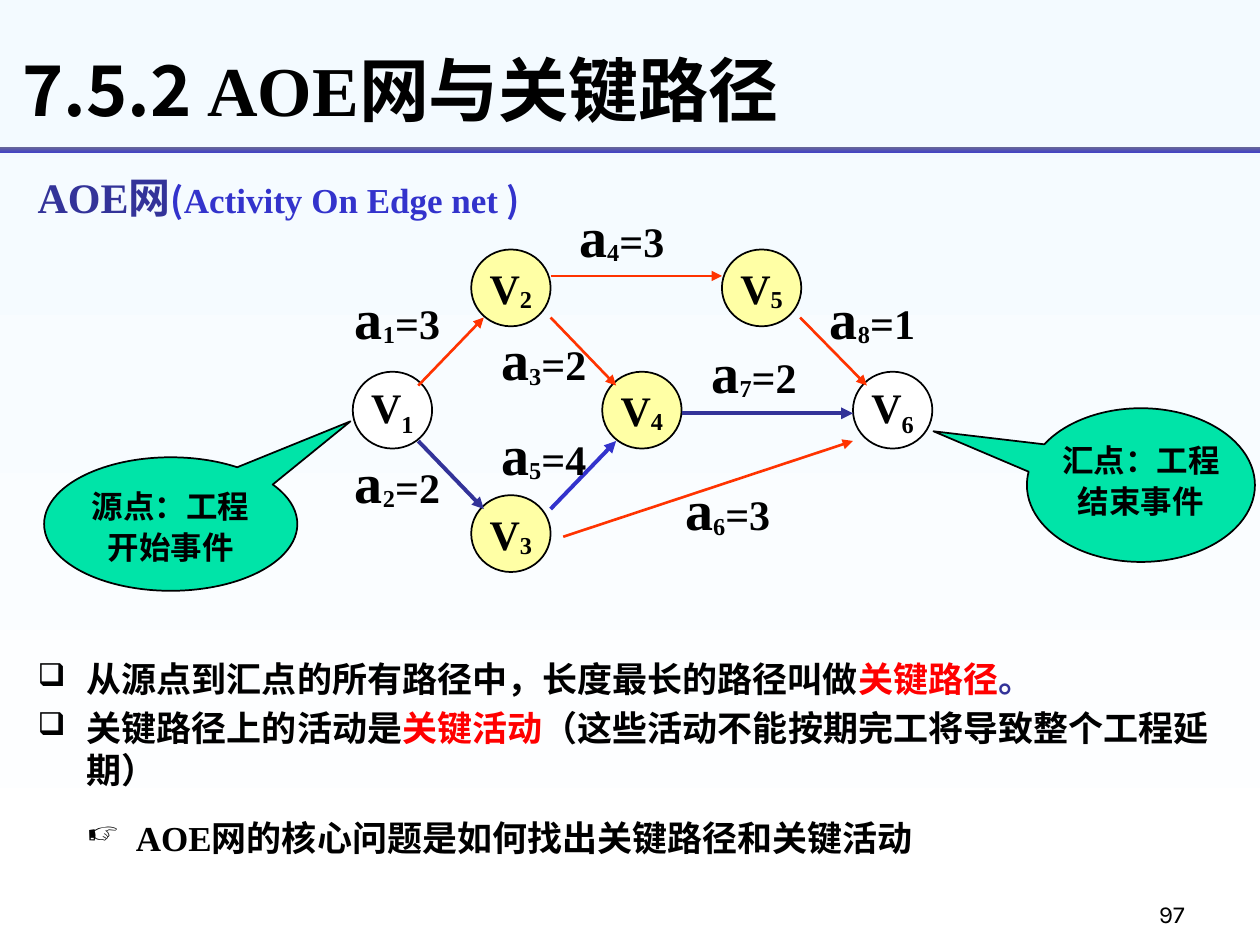
"""Build the slide on AOE networks and critical paths."""
from lxml import etree
from pptx import Presentation
from pptx.dml.color import RGBColor
from pptx.enum.shapes import MSO_CONNECTOR, MSO_SHAPE
from pptx.enum.text import MSO_ANCHOR, PP_ALIGN
from pptx.oxml.ns import qn
from pptx.util import Inches, Pt

OVAL, RECT = MSO_SHAPE.OVAL, MSO_SHAPE.RECTANGLE
CALLOUT = MSO_SHAPE.OVAL_CALLOUT
STRAIGHT = MSO_CONNECTOR.STRAIGHT
LEFT, CENTER, RIGHT = PP_ALIGN.LEFT, PP_ALIGN.CENTER, PP_ALIGN.RIGHT
TOP, MIDDLE, BOTTOM = MSO_ANCHOR.TOP, MSO_ANCHOR.MIDDLE, MSO_ANCHOR.BOTTOM

SERIF, SANS, NUMERAL = "Times New Roman", "Noto Sans CJK SC", "Karla"
BLACK, WHITE, RED = "000000", "FFFFFF", "FF0000"
YELLOW, GREEN = "FFFFA5", "00E4A8"
ORANGE, NAVY, BLUE = "FF3300", "333399", "3333CC"

TITLE = [("7.5.2 ", 40, SANS, BLACK), ("AOE", 40, SERIF, BLACK),
         ("网与关键路径", 40, SANS, BLACK)]
SUBTITLE = [("AOE网", 24, SERIF, NAVY), ("(", 20, SANS, BLUE),
            ("Activity On Edge net", 20, SERIF, BLUE), (" )", 20, SANS, BLUE)]

NODE_W, NODE_H = 0.63, 0.61
COLUMNS = [2.8, 3.74, 4.78, 5.73, 6.77]
ROWS = [1.98, 2.95, 3.93]
NODES = [("1", 0, 1, WHITE, -25), ("2", 1, 0, YELLOW, -10),
         ("3", 1, 2, YELLOW, -10), ("4", 2, 1, YELLOW, -10),
         ("5", 3, 0, YELLOW, -10), ("6", 4, 1, WHITE, -25)]

EDGES = [
    ("1", "=3", (3.32, 3.06), (3.84, 2.52), ORANGE, 1.5, (2.58, 2.2)),
    ("2", "=2", (3.32, 3.5), (3.84, 4.04), NAVY, 2.25, (2.58, 3.5)),
    ("3", "=2", (4.37, 2.52), (4.89, 3.06), ORANGE, 1.5, (3.74, 2.53)),
    ("4", "=3", (4.37, 2.19), (5.73, 2.19), ORANGE, 1.5, (4.36, 1.55)),
    ("5", "=4", (4.37, 4.04), (4.89, 3.5), BLUE, 2.25, (3.74, 3.28)),
    ("6", "=3", (4.47, 4.26), (6.77, 3.5), ORANGE, 1.5, (5.2, 3.72)),
    ("7", "=2", (5.41, 3.28), (6.77, 3.28), NAVY, 2.25, (5.41, 2.63)),
    ("8", "=1", (6.35, 2.52), (6.88, 3.06), ORANGE, 1.5, (6.35, 2.2)),
]

CALLOUTS = [
    ("源点：工程开始事件", (0.35, 3.63, 2.01, 1.06), (0.71, -0.77)),
    ("汇点：工程结束事件", (8.15, 3.24, 1.81, 1.22), (-0.91, -0.35)),
]

POINTS = [
    ("❑", (0.2, 5.17, 8.66, 0.5),
     [("从源点到汇点的所有路径中，长度最长的路径叫做", BLACK),
      ("关键路径", RED), ("。", NAVY)]),
    ("❑", (0.2, 5.56, 9.53, 0.83),
     [("关键路径上的活动是", BLACK), ("关键活动", RED),
      ("（这些活动不能按期完工将导致整个工程延期）", BLACK)]),
    ("☞", (0.59, 6.43, 8.59, 0.5),
     [("AOE网的核心问题是如何找出关键路径和关键活动", BLACK)]),
]


def rgb(value):
    return RGBColor.from_string(value)


def gradient(fill, start, end):
    fill.gradient()
    fill.gradient_angle = 270
    for stop, color in zip(fill.gradient_stops, (start, end)):
        stop.color.rgb = rgb(color)


def write(sp, runs, align=LEFT, anchor=TOP, wrap=True, bold=True):
    tf = sp.text_frame
    tf.word_wrap = wrap
    tf.vertical_anchor = anchor
    p = tf.paragraphs[0]
    p.alignment = align
    for text, size, font, color, *baseline in runs:
        r = p.add_run()
        r.text = text
        r.font.size = Pt(size)
        r.font.name = font
        r.font.bold = bold
        r.font.color.rgb = rgb(color)
        rPr = r.font._element
        etree.SubElement(rPr, qn("a:ea")).set("typeface", SANS)
        if baseline:
            rPr.set("baseline", str(baseline[0] * 1000))
    return p


def add_text(s, box, runs, **options):
    return write(s.shapes.add_textbox(*map(Inches, box)), runs, **options)


def add_shape(s, kind, box, color):
    sp = s.shapes.add_shape(kind, *map(Inches, box))
    sp.shadow.inherit = False
    sp.fill.solid()
    sp.fill.fore_color.rgb = rgb(color)
    sp.line.color.rgb = rgb(BLACK)
    sp.line.width = Pt(1)
    return sp


def add_arrow(s, start, end, color, width):
    line = s.shapes.add_connector(STRAIGHT, *map(Inches, start + end))
    line.line.color.rgb = rgb(color)
    line.line.width = Pt(width)
    etree.SubElement(line.line._get_or_add_ln(), qn("a:tailEnd")).set("type", "triangle")
    etree.SubElement(line._element.spPr, qn("a:effectLst"))


def add_bullet(p, char):
    pPr = p._p.get_or_add_pPr()
    pPr.set("marL", str(Inches(0.39)))
    pPr.set("indent", str(-Inches(0.39)))
    color = etree.SubElement(pPr, qn("a:buClr"))
    etree.SubElement(color, qn("a:srgbClr")).set("val", BLACK)
    etree.SubElement(pPr, qn("a:buSzPct")).set("val", "90000")
    etree.SubElement(pPr, qn("a:buChar")).set("char", char)


def main():
    prs = Presentation()
    prs.slide_width, prs.slide_height = Inches(10), Inches(7.5)
    s = prs.slides.add_slide(prs.slide_layouts[6])
    gradient(s.background.fill, "F3FAFF", WHITE)

    add_text(s, (0.08, 0.33, 8.67, 0.75), TITLE, anchor=MIDDLE)
    rule = add_shape(s, RECT, (0, 1.17, 10, 0.04), NAVY)
    gradient(rule.fill, "666699", "4444C2")
    rule.line.fill.background()
    add_text(s, (0.2, 1.31, 4.83, 0.5), SUBTITLE)

    for number, col, row, color, drop in NODES:
        sp = add_shape(s, OVAL, (COLUMNS[col], ROWS[row], NODE_W, NODE_H), color)
        write(sp, [("V", 24, SERIF, BLACK), (number, 24, SERIF, BLACK, drop)],
              align=CENTER, anchor=MIDDLE, wrap=False)

    for number, cost, start, end, color, width, label in EDGES:
        add_arrow(s, start, end, color, width)
        add_text(s, label + (1.15, 0.63),
                 [("a", 32, SERIF, BLACK), (number, 24, SERIF, BLACK, -10),
                  (cost, 24, SERIF, BLACK)], align=CENTER)

    for text, box, tip in CALLOUTS:
        sp = add_shape(s, CALLOUT, box, GREEN)
        sp.adjustments[0], sp.adjustments[1] = tip
        sp.text_frame.margin_left = sp.text_frame.margin_right = 0
        p = write(sp, [(text, 18, SANS, BLACK)], align=CENTER)
        p.line_spacing = 1.1

    for char, box, parts in POINTS:
        p = add_text(s, box, [(text, 20, SERIF, color) for text, color in parts])
        add_bullet(p, char)

    p = add_text(s, (7.42, 6.92, 2.08, 0.5), [("97", 14, NUMERAL, BLACK)],
                 align=RIGHT, anchor=BOTTOM, bold=False)
    p.line_spacing = 1.1
    prs.save("out.pptx")


if __name__ == "__main__":
    main()
